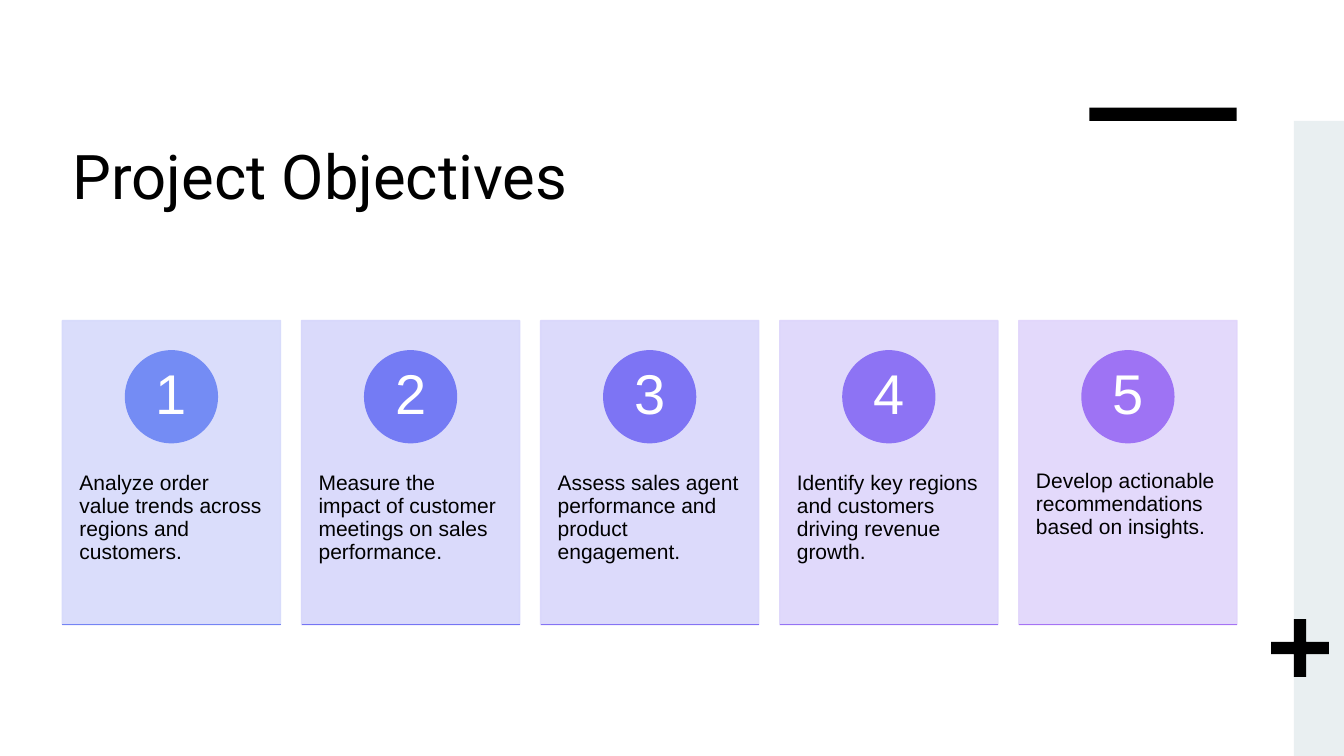
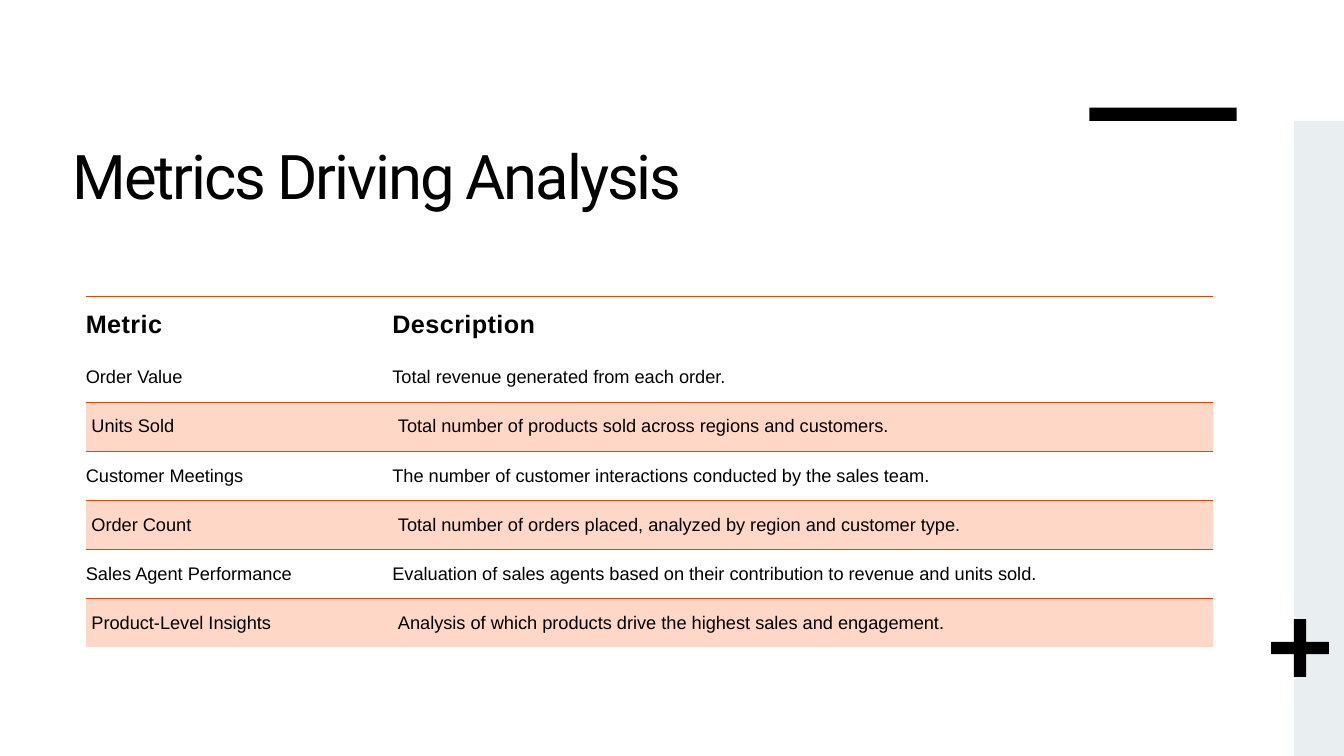
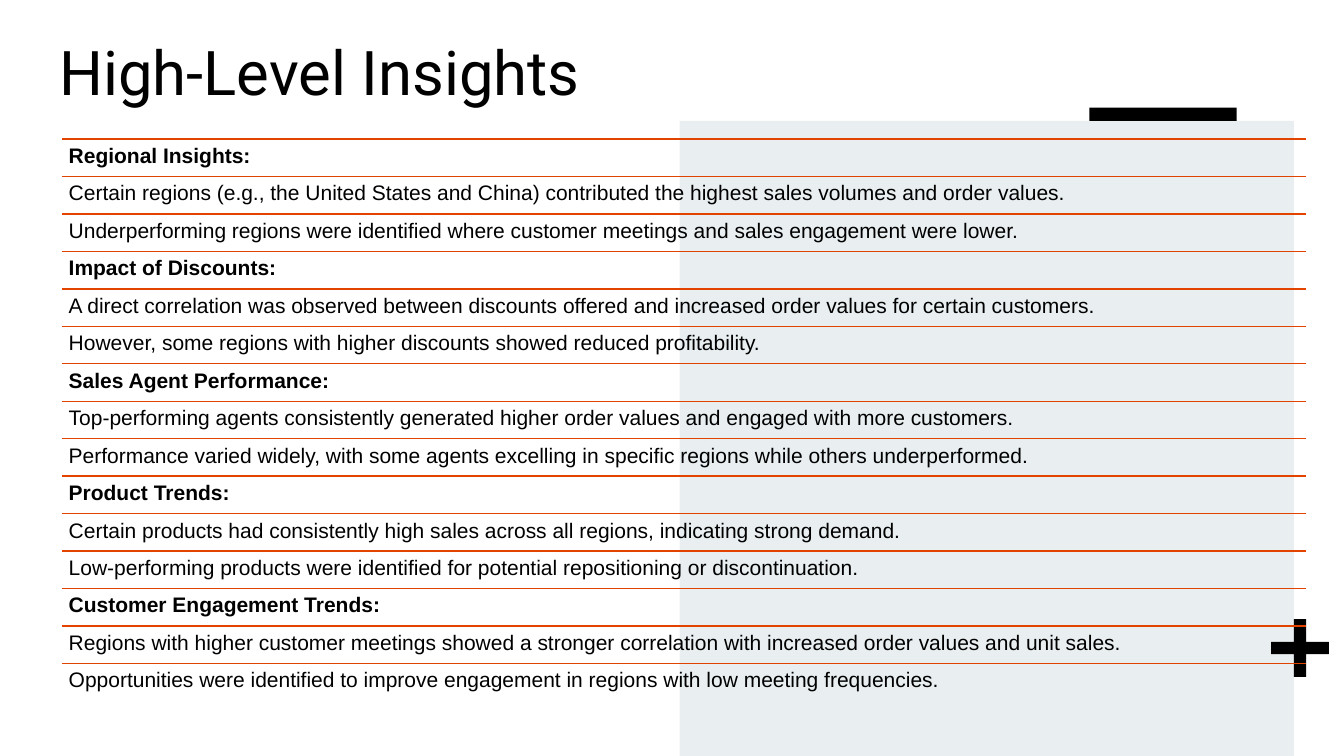
from lxml.etree import SubElement
from pptx import Presentation
from pptx.dml.color import RGBColor
from pptx.enum.shapes import MSO_CONNECTOR as Line, MSO_SHAPE as Preset
from pptx.enum.text import MSO_ANCHOR as Anchor, MSO_AUTO_SIZE as AutoSize, PP_ALIGN as Align
from pptx.oxml import parse_xml
from pptx.oxml.ns import nsdecls, qn
from pptx.shapes.connector import Connector
from pptx.util import Pt

BLACK = "000000"
WHITE = "FFFFFF"
PALE = "E9EFF1"
ORANGE = "E24400"
PEACH = "FFD7C6"
LEFT = 44.6


def color(value):
    return RGBColor.from_string(value)


def write(frame, text, size, value=BLACK, font="Arial", bold=False, spacing=0):
    paragraph = frame.paragraphs[0]
    run = paragraph.add_run()
    run.text = text
    paragraph.font.size = Pt(size)
    paragraph.font.name = font
    paragraph.font.bold = bold
    paragraph.font.color.rgb = color(value)
    if spacing:
        run._r.get_or_add_rPr().set("spc", str(int(spacing * 100)))
    return paragraph


presentation = Presentation()
presentation.slide_width = Pt(960)
presentation.slide_height = Pt(540)

pages = [
    ("Project Objectives", (LEFT, 95, 651, 113.8), 0, (924.2, 35.8)),
    ("Metrics Driving Analysis", (LEFT, 95, 651, 113.8), -1.5, (924.2, 35.8)),
    ("High-Level Insights", (35.3, 20.9, 548, 64.8), 0, (485.5, 438.7)),
]
slides = []
for text, box, spacing, (band_left, band_width) in pages:
    slide = presentation.slides.add_slide(presentation.slide_layouts[5])
    slides.append(slide)
    title = slide.shapes.title
    title.left, title.top, title.width, title.height = [Pt(value) for value in box]
    frame = title.text_frame
    frame.word_wrap = True
    frame.auto_size = AutoSize.NONE
    frame.vertical_anchor = Anchor.TOP
    write(frame, text, 44, font="Roboto", spacing=spacing).alignment = Align.LEFT
    for preset, left, top, width, height, fill in [
        (Preset.RECTANGLE, band_left, 86.4, band_width, 453.6, PALE),
        (Preset.RECTANGLE, 778.2, 76.8, 105.2, 9.6, BLACK),
        (Preset.CROSS, 907.9, 442.2, 41.3, 41.3, BLACK),
    ]:
        shape = slide.shapes.add_shape(preset, Pt(left), Pt(top), Pt(width), Pt(height))
        shape.shadow.inherit = False
        shape.fill.solid()
        shape.fill.fore_color.rgb = color(fill)
        shape.line.fill.background()
        if preset == Preset.CROSS:
            shape.adjustments[0] = 0.395

objectives_slide, metrics_slide, insights_slide = slides

objectives = [
    ("Analyze order value trends across regions and customers.", "D6DAFB", "748CF4", "7484F4"),
    ("Measure the impact of customer meetings on sales performance.", "D6D6FB", "747BF4", "7574F4"),
    ("Assess sales agent performance and product engagement.", "D9D6FB", "7D74F4", "8573F4"),
    ("Identify key regions and customers driving revenue growth.", "DDD5FB", "8D73F4", "9573F4"),
    ("Develop actionable recommendations based on insights.", "E1D5FB", "9E73F4", "A673F4"),
]
CARD_WIDTH = 155.8
CARD_PITCH = 170.8
CARD_TOP = 229
CARD_HEIGHT = 217.2
CIRCLE_SIZE = 65.6
shapes = objectives_slide.shapes
for index, (text, card_color, circle_color, rule_color) in enumerate(objectives):
    left = LEFT + index * CARD_PITCH
    bottom = CARD_TOP + CARD_HEIGHT
    card = shapes.add_shape(Preset.RECTANGLE, Pt(left), Pt(CARD_TOP), Pt(CARD_WIDTH), Pt(CARD_HEIGHT))
    circle = shapes.add_shape(
        Preset.OVAL, Pt(left + (CARD_WIDTH - CIRCLE_SIZE) / 2), Pt(250.6), Pt(CIRCLE_SIZE), Pt(CIRCLE_SIZE)
    )
    for shape, fill in [(card, card_color), (circle, circle_color)]:
        shape.shadow.inherit = False
        shape.fill.solid()
        shape.fill.fore_color.rgb = color(fill)
        shape.line.color.rgb = color(fill)
        shape.line.width = Pt(1)
    for node in card.element.spPr.iter(qn("a:srgbClr")):
        SubElement(node, qn("a:alpha"), val="90000")

    frame = circle.text_frame
    frame.margin_left = frame.margin_right = frame.margin_top = frame.margin_bottom = 0
    frame.vertical_anchor = Anchor.MIDDLE
    number = write(frame, str(index + 1), 40, WHITE)
    number.alignment = Align.CENTER
    number.line_spacing = 0.9

    description = shapes.add_textbox(Pt(left), Pt(311.8), Pt(CARD_WIDTH), Pt(130.3))
    frame = description.text_frame
    frame.word_wrap = True
    frame.margin_left = frame.margin_right = Pt(12.2)
    frame.margin_top = frame.margin_bottom = Pt(25.9)
    write(frame, text, 15).line_spacing = 0.9

    rule = shapes.add_connector(Line.STRAIGHT, Pt(left), Pt(bottom), Pt(left + CARD_WIDTH), Pt(bottom))
    rule.line.color.rgb = color(rule_color)
    rule.line.width = Pt(1)

metrics = [
    ("Metric", "Description"),
    ("Order Value", "Total revenue generated from each order."),
    ("Units Sold", "Total number of products sold across regions and customers."),
    ("Customer Meetings", "The number of customer interactions conducted by the sales team."),
    ("Order Count", "Total number of orders placed, analyzed by region and customer type."),
    ("Sales Agent Performance", "Evaluation of sales agents based on their contribution to revenue and units sold."),
    ("Product-Level Insights", "Analysis of which products drive the highest sales and engagement."),
]
table_frame = metrics_slide.shapes.add_table(len(metrics), 2, Pt(61.3), Pt(211.8), Pt(805.2), Pt(250.8))
table = table_frame.table
table.first_row = table.horz_banding = False
table_frame.element.find(".//" + qn("a:tableStyleId")).text = "{2D5ABB26-0587-4C30-8999-92F81FD0307C}"
table.columns[0].width = Pt(219)
table.columns[1].width = Pt(586.2)
for row_index, texts in enumerate(metrics):
    header = row_index == 0
    shaded = not header and row_index % 2 == 0
    table.rows[row_index].height = Pt(40.4 if header else 35.05)
    for column_index, text in enumerate(texts):
        cell = table.cell(row_index, column_index)
        cell.vertical_anchor = Anchor.MIDDLE
        cell.margin_left = Pt(4 if shaded else 0)
        cell.margin_right = 0
        cell.margin_top = cell.margin_bottom = Pt(7.9)
        write(cell.text_frame, text, 18 if header else 13, bold=header, spacing=0.3 if header else 0)
        if shaded:
            cell.fill.solid()
            cell.fill.fore_color.rgb = color(PEACH)
        else:
            cell.fill.background()
        if header or shaded:
            border = parse_xml(
                f'<a:lnT {nsdecls("a")} w="{Pt(1.5 if header else 0.75)}">'
                f'<a:solidFill><a:srgbClr val="{ORANGE}"/></a:solidFill></a:lnT>'
            )
            cell._tc.get_or_add_tcPr().insert(0, border)

insights = [
    "Regional Insights:",
    "Certain regions (e.g., the United States and China) contributed the highest sales volumes and order values.",
    "Underperforming regions were identified where customer meetings and sales engagement were lower.",
    "Impact of Discounts:",
    "A direct correlation was observed between discounts offered and increased order values for certain customers.",
    "However, some regions with higher discounts showed reduced profitability.",
    "Sales Agent Performance:",
    "Top-performing agents consistently generated higher order values and engaged with more customers.",
    "Performance varied widely, with some agents excelling in specific regions while others underperformed.",
    "Product Trends:",
    "Certain products had consistently high sales across all regions, indicating strong demand.",
    "Low-performing products were identified for potential repositioning or discontinuation.",
    "Customer Engagement Trends:",
    "Regions with higher customer meetings showed a stronger correlation with increased order values and unit sales.",
    "Opportunities were identified to improve engagement in regions with low meeting frequencies.",
]
INSIGHT_WIDTH = 888.4
INSIGHT_HEIGHT = 26.76
shapes = insights_slide.shapes
for index, text in enumerate(insights):
    top = 99.3 + index * INSIGHT_HEIGHT
    rule = shapes.add_connector(Line.STRAIGHT, Pt(LEFT), Pt(top), Pt(LEFT + INSIGHT_WIDTH), Pt(top))
    rule.line.color.rgb = color(ORANGE)
    rule.line.width = Pt(1)
    insight = shapes.add_textbox(Pt(LEFT), Pt(top), Pt(INSIGHT_WIDTH), Pt(INSIGHT_HEIGHT))
    frame = insight.text_frame
    frame.word_wrap = True
    frame.margin_left = frame.margin_right = frame.margin_top = frame.margin_bottom = Pt(4.5)
    write(frame, text, 15, bold=text.endswith(":")).line_spacing = 0.9

for slide in slides:
    for shape in slide.shapes:
        if isinstance(shape, Connector):
            SubElement(shape.element.spPr, qn("a:effectLst"))

presentation.save("out.pptx")
